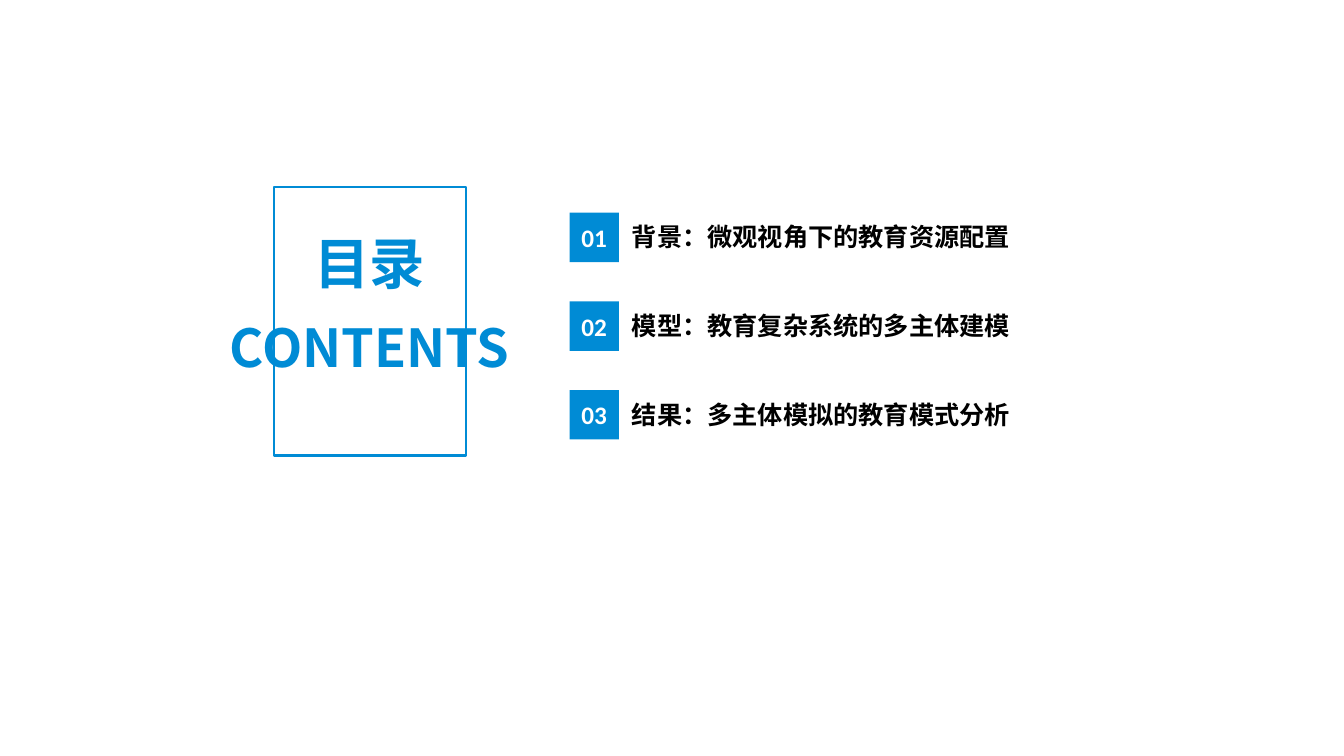
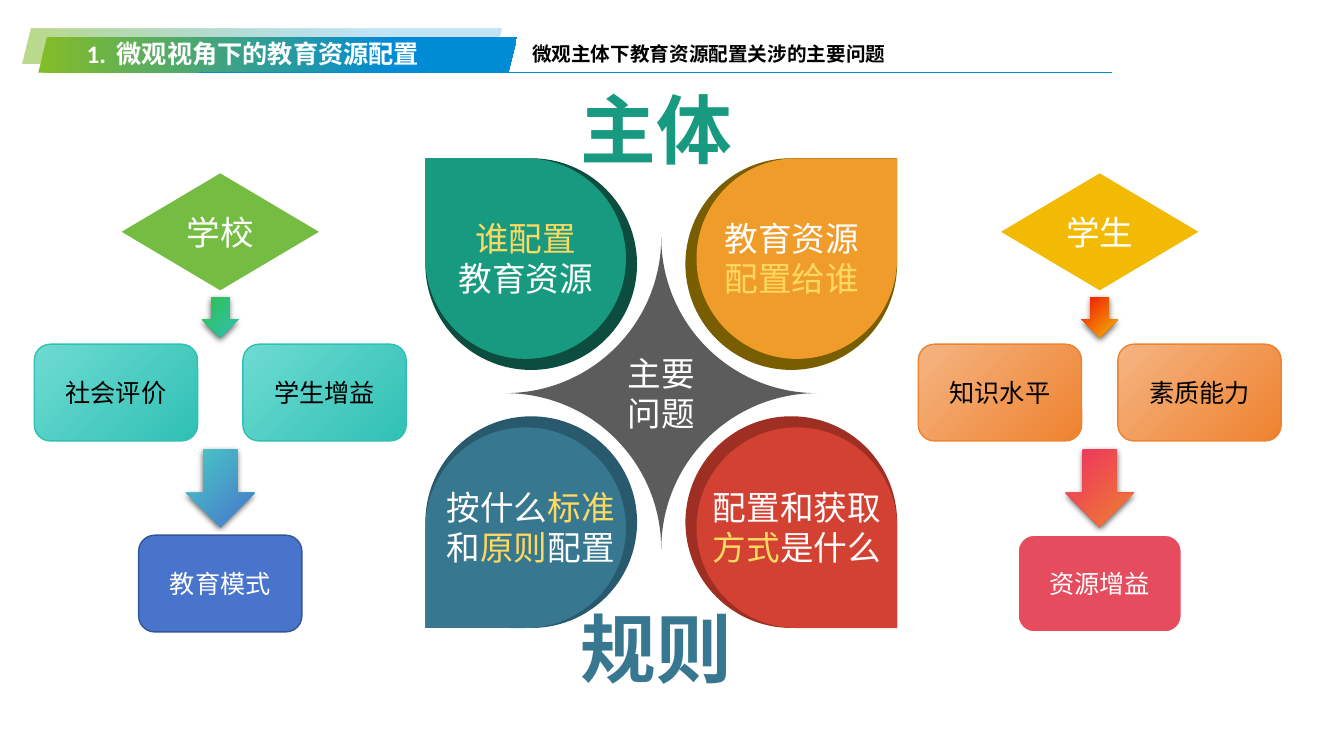
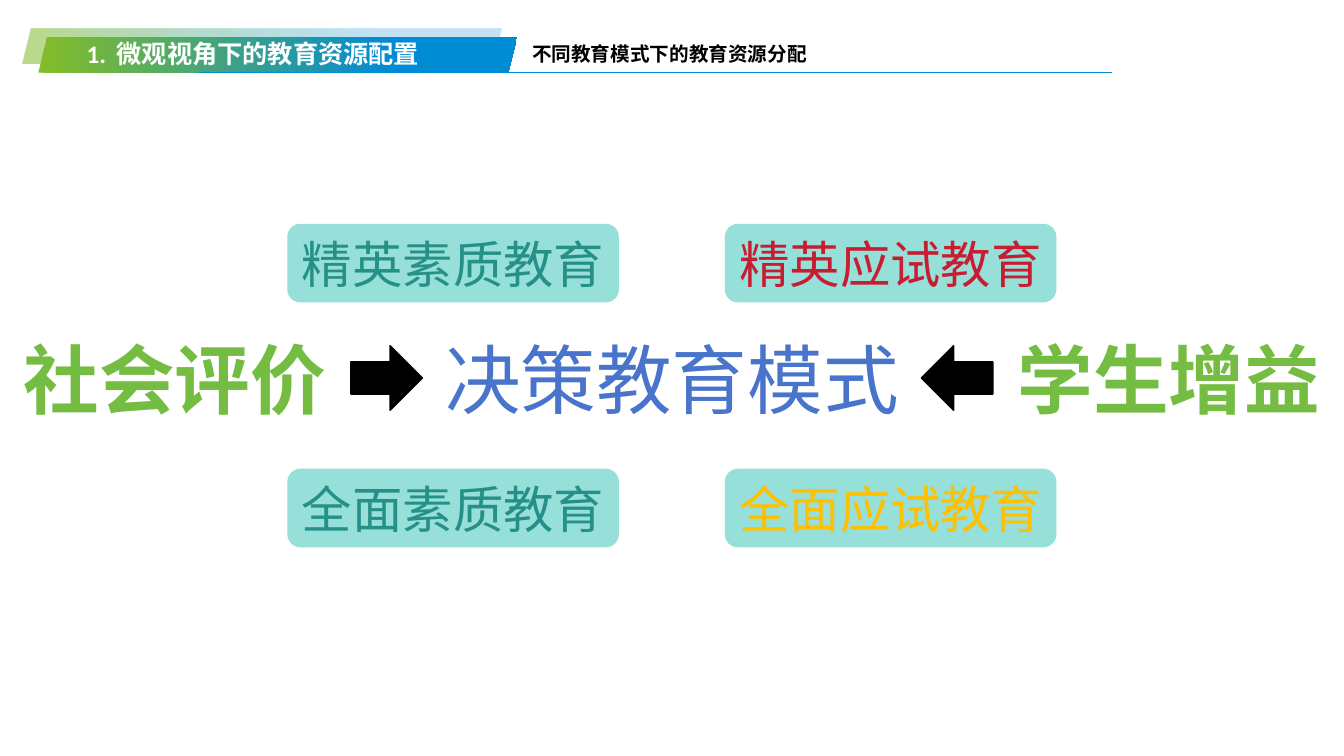
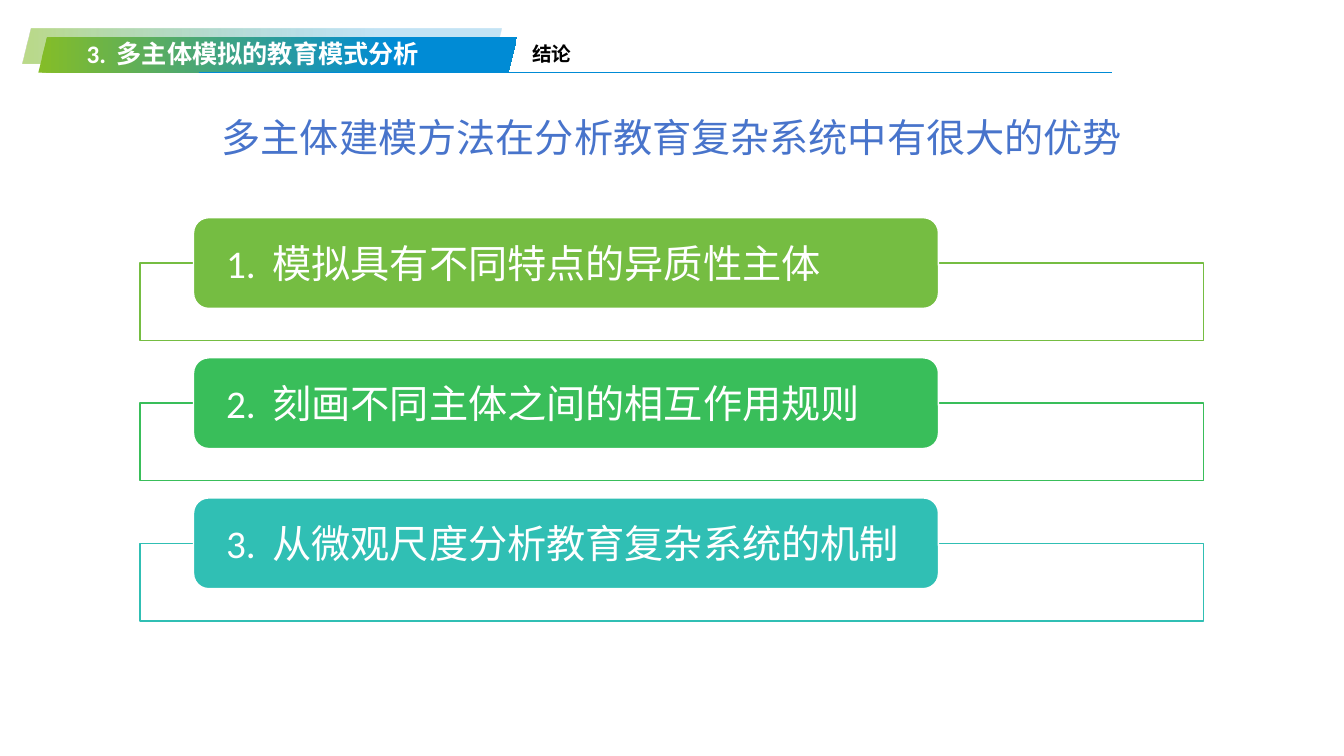
from dataclasses import dataclass

from pptx import Presentation
from pptx.dml.color import RGBColor
from pptx.enum.lang import MSO_LANGUAGE_ID
from pptx.enum.shapes import MSO_CONNECTOR, MSO_SHAPE
from pptx.enum.text import MSO_ANCHOR, PP_ALIGN
from pptx.oxml.ns import qn
from pptx.oxml.xmlchemy import OxmlElement
from pptx.util import Emu, Inches, Pt

LEFT, CENTER = PP_ALIGN.LEFT, PP_ALIGN.CENTER
TOP, MIDDLE = MSO_ANCHOR.TOP, MSO_ANCHOR.MIDDLE
RECT, ROUND = MSO_SHAPE.RECTANGLE, MSO_SHAPE.ROUNDED_RECTANGLE
SLANT, TEARDROP = MSO_SHAPE.PARALLELOGRAM, MSO_SHAPE.TEAR
DIAMOND, PLAQUE = MSO_SHAPE.DIAMOND, MSO_SHAPE.PLAQUE
DOWN, RIGHT = MSO_SHAPE.DOWN_ARROW, MSO_SHAPE.RIGHT_ARROW
STRAIGHT = MSO_CONNECTOR.STRAIGHT
CHINESE = MSO_LANGUAGE_ID.SIMPLIFIED_CHINESE

# Grid of 160 x 90 square cells, twelve to the inch
CELL = Inches(1) // 12
COLUMNS, ROWS = 160, 90

LATIN, HAN = "Calibri", "Noto Sans CJK SC"
BLUE, LIME, WHITE, BLACK = "008BD5", "85BD27", "FFFFFF", "000000"
GREEN, TEAL, ROYAL, YELLOW = "75BD42", "30C0B4", "4874CB", "FED961"


@dataclass
class Box:
    """A region, measured in grid cells."""
    x: float
    y: float
    w: float
    h: float

    def within(self, x, y, w, h):
        return Box(self.x + x, self.y + y, w, h)

    def centred(self, y, w, h):
        return self.within((self.w - w) / 2, y, w, h)

    def emu(self):
        return [Emu(round(v * CELL)) for v in (self.x, self.y, self.w, self.h)]


def rgb(value):
    return RGBColor.from_string(value)


def set_alpha(colour, percent):
    alpha = OxmlElement("a:alpha")
    alpha.set("val", str(percent * 1000))
    colour.append(alpha)


def paint(shape, fill, alphas=(), angle=45, end=100):
    """Fill with one colour, a pair as gradient, or nothing."""
    if fill is None:
        shape.fill.background()
    elif isinstance(fill, str):
        shape.fill.solid()
        shape.fill.fore_color.rgb = rgb(fill)
    else:
        shape.fill.gradient()
        shape.fill.gradient_angle = -angle % 360
        for stop, colour, position in zip(shape.fill.gradient_stops, fill, (0, end)):
            stop.color.rgb = rgb(colour)
            stop.position = position / 100
    for colour, percent in zip(list(shape._element.spPr.iter(qn("a:srgbClr"))), alphas):
        set_alpha(colour, percent)


def add_shape(slide, kind, box, fill=None, line=None, line_width=1, rotation=0, **gradient):
    shape = slide.shapes.add_shape(kind, *box.emu())
    shape.shadow.inherit = False
    shape.rotation = rotation
    paint(shape, fill, **gradient)
    if line:
        shape.line.color.rgb = rgb(line)
        shape.line.width = Pt(line_width)
    else:
        shape.line.fill.background()
    return shape


def drop_shadow(shape):
    shadow = OxmlElement("a:outerShdw")
    for name, value in {"blurRad": Pt(4.5), "dist": Pt(1.5), "dir": 5400000,
                        "algn": "ctr", "rotWithShape": 0}.items():
        shadow.set(name, str(value))
    colour = OxmlElement("a:srgbClr")
    colour.set("val", BLACK)
    set_alpha(colour, 63)
    shadow.append(colour)
    shape._element.spPr.find(qn("a:effectLst")).append(shadow)


def write(shape, paragraphs, size, colour=WHITE, bold=False, font=LATIN, align=CENTER,
          anchor=MIDDLE, wrap=True, margins=None, spacing=None, hang=0):
    """Write text; a paragraph is a string or a list of (text, colour) runs."""
    frame = shape.text_frame
    frame_format = {"word_wrap": wrap, "vertical_anchor": anchor}
    if margins is not None:
        frame_format.update(margin_left=Inches(margins), margin_right=Inches(margins),
                            margin_top=0, margin_bottom=0)
    for name, value in frame_format.items():
        setattr(frame, name, value)
    if isinstance(paragraphs, str):
        paragraphs = [paragraphs]
    for index, runs in enumerate(paragraphs):
        paragraph = frame.add_paragraph() if index else frame.paragraphs[0]
        paragraph.alignment = align
        paragraph.line_spacing = spacing
        if hang:
            properties = paragraph._p.get_or_add_pPr()
            properties.set("marL", str(Inches(hang)))
            properties.set("indent", str(-Inches(hang)))
        for text, run_colour in [(runs, colour)] if isinstance(runs, str) else runs:
            run = paragraph.add_run()
            run.text = text
            for name, value in {"size": Pt(size), "bold": bold, "name": font,
                                "language_id": CHINESE}.items():
                setattr(run.font, name, value)
            run.font.color.rgb = rgb(run_colour)
            han = OxmlElement("a:ea")
            han.set("typeface", HAN)
            run.font._element.find(qn("a:latin")).addnext(han)


def add_text(slide, box, paragraphs, size, colour, **style):
    area = slide.shapes.add_textbox(*box.emu())
    write(area, paragraphs, size, colour, **{"anchor": TOP, **style})


def add_header(slide, box, number, section, topic):
    """Slanted section band with the topic on a rule beside it."""
    add_shape(slide, SLANT, box.within(0, 0, 57, 4.2), (LIME, BLUE),
              alphas=(55, 23), angle=0, end=74)
    add_shape(slide, SLANT, box.within(1.92, 1.08, 57, 4.2), (LIME, BLUE), angle=0, end=74)
    add_text(slide, box.within(6.48, 0.6, 50, 4.8), f"{number}.\t{section}", 18, WHITE,
             bold=True, align=LEFT, hang=0.3)
    x, y, w, h = box.within(21, 5.28, 108.72, 0).emu()
    rule = slide.shapes.add_connector(STRAIGHT, x, y, x + w, y + h)
    rule.line.color.rgb = rgb(BLUE)
    rule.line.width = Pt(1.25)
    rule._element.spPr.append(OxmlElement("a:effectLst"))
    add_text(slide, box.within(59.52, 1.08, 48.84, 3.96), topic, 14, BLACK,
             bold=True, align=LEFT)


def add_contents_title(slide, box):
    add_shape(slide, RECT, box, line=BLUE, line_width=1.5)
    add_text(slide, box.centred(3.6, 16.44, 11.52), "目录", 39.6, BLUE,
             bold=True, anchor=MIDDLE, spacing=0.9)
    add_text(slide, box.centred(15.36, 39.36, 8.52), "CONTENTS", 37.4, BLUE,
             bold=True, font=HAN, anchor=MIDDLE, spacing=0.8)


def add_agenda(slide, box, chapters):
    """Numbered chapters, one per row of the box."""
    pitch = box.h / len(chapters)
    for index, chapter in enumerate(chapters):
        row = box.within(0, index * pitch, box.w, pitch)
        badge = add_shape(slide, RECT, row.within(0, 0, 5.88, 5.88), BLUE)
        write(badge, f"{index + 1:02}", 18, bold=True, margins=0)
        add_text(slide, row.within(6.24, 0.48, 48, 4.8), chapter, 18, BLACK,
                 bold=True, align=LEFT)


def add_petals(slide, box):
    """Four petals around a star, with a keyword above and below."""
    star = add_shape(slide, PLAQUE, box.centred((box.h - 37.08) / 2, 37.08, 37.08), "5C5C5C")
    star.adjustments[0] = 0.5
    write(star, "主要问题", 24, font="Arial")
    # column, row, rotation, rim, face, label width, label shift, label
    petals = [
        (0, 0, 270, "0C4D40", "189A80", 18.36, 0,
         [[("谁配置", YELLOW)], [("教育资源", WHITE)]]),
        (1, 1, 90, "A02F23", "D24132", 23.16, 0,
         [[("配置和获取", WHITE), ("方式", YELLOW), ("是什么", WHITE)]]),
        (1, 0, 0, "795D01", "F09C2A", 18.36, -0.6,
         [[("教育资源", WHITE), ("配置给谁", YELLOW)]]),
        (0, 1, 180, "29596C", "377790", 23.88, 0.6,
         [[("按什么", WHITE), ("标准", YELLOW), ("和", WHITE), ("原则", YELLOW),
           ("配置", WHITE)]]),
    ]
    for column, row, rotation, rim, face, width, shift, label in petals:
        for size, colour in ((25.2, rim), (23.88, face)):
            petal = box.within(column * (box.w - size), row * (box.h - size), size, size)
            add_shape(slide, TEARDROP, petal, colour, rotation=rotation)
        place = petal.centred(6.5, width, 10.92)
        add_text(slide, place.within(shift, 0, place.w, place.h), label, 24, WHITE)
    for y, keyword, colour in ((-9.6, "主体", "189A80"), (52.2, "规则", "377790")):
        add_text(slide, box.within(17.16, y, 20.64, 12.12), keyword, 54, colour,
                 bold=True, wrap=False)


def add_flow(slide, box, actor, factors, outcome, colours):
    """Actor, two factors and an outcome, from top to bottom."""
    diamond = add_shape(slide, DIAMOND, box.centred(0, 23.88, 14.16), colours["actor"], WHITE)
    write(diamond, actor, 24)
    card_w, card_h = 19.44, 11.52
    for x, factor in zip((0, box.w - card_w), factors):
        card = add_shape(slide, ROUND, box.within(x, 20.46, card_w, card_h),
                         colours["factors"], colours["factors"][1])
        write(card, factor, 18, BLACK)
    result = add_shape(slide, ROUND, box.centred(43.2, card_w, card_h),
                       colours["outcome"], colours["outcome_line"])
    write(result, outcome, 18)
    for y, w, h, key in ((14.88, 4.32, 4.8, "first_arrow"), (33, 8.16, 9.24, "second_arrow")):
        drop_shadow(add_shape(slide, DOWN, box.centred(y, w, h), colours[key]))


def add_decision(slide, box):
    """Two influences pointing at the decision, with four modes around it."""
    far = box.w - 38.76
    for x, w, words, colour, bold in ((0, 38.76, "社会评价", GREEN, True),
                                      (far, 38.76, "学生增益", GREEN, True),
                                      ((box.w - 57) / 2, 57, "决策教育模式", ROYAL, False)):
        add_text(slide, box.within(x, 12.36, w, 12.12), words, 54, colour,
                 bold=bold, wrap=False)
    for x, rotation in ((40.32, 0), (box.w - 48.84, 180)):
        add_shape(slide, RIGHT, box.within(x, 14.52, 8.52, 7.68), BLACK, BLACK,
                  rotation=rotation)
    modes = [[("精英素质教育", "249087"), ("精英应试教育", "C81D31")],
             [("全面素质教育", "249087"), ("全面应试教育", "FFC000")]]
    for row, pair in enumerate(modes):
        for column, (mode, colour) in enumerate(pair):
            chip = add_shape(slide, ROUND, box.within(32.76 + column * 52.08, row * 29.16,
                                                      39.48, 9.36), TEAL, alphas=(50,))
            write(chip, mode, 36, colour, wrap=False)


def add_conclusions(slide, box, conclusions):
    """Titled cards, each on an outlined panel."""
    for index, (colour, conclusion) in enumerate(conclusions):
        row = box.within(0, index * box.h / len(conclusions), box.w, 14.64)
        add_shape(slide, RECT, row.within(0, 5.4, row.w, 9.24), WHITE, colour, alphas=(90,))
        card = add_shape(slide, ROUND, row.within(6.36, 0, 88.68, 10.8), colour, WHITE)
        write(card, f"{index + 1}.\t{conclusion}", 28, align=LEFT, margins=0.28, hang=0.46)


def main():
    deck = Presentation()
    deck.slide_width, deck.slide_height = COLUMNS * CELL, ROWS * CELL
    header_box = Box(2.64, 3.36, 129.72, 5.28)
    background = (1, "微观视角下的教育资源配置")
    analysis = (3, "多主体模拟的教育模式分析")

    def new_slide():
        return deck.slides.add_slide(deck.slide_layouts[6])

    # Contents
    slide = new_slide()
    add_contents_title(slide, Box(32.64, 22.32, 22.8, 31.92))
    add_agenda(slide, Box(67.8, 25.32, 54.24, 31.68), [
        "背景：微观视角下的教育资源配置",
        "模型：教育复杂系统的多主体建模",
        "结果：多主体模拟的教育模式分析"])

    # Main questions
    slide = new_slide()
    add_header(slide, header_box, *background, "微观主体下教育资源配置关涉的主要问题")
    add_petals(slide, Box(50.64, 18.84, 56.16, 55.92))
    add_flow(slide, Box(4.08, 20.52, 44.28, 54.72), "学校", ("社会评价", "学生增益"), "教育模式",
             {"actor": GREEN, "factors": ("6EDBD2", TEAL),
              "outcome": ROYAL, "outcome_line": "355696",
              "first_arrow": ("30C04F", TEAL), "second_arrow": ("48CBC6", ROYAL)})
    add_flow(slide, Box(109.32, 20.52, 43.2, 54.72), "学生", ("知识水平", "素质能力"), "资源增益",
             {"actor": "F2BA02", "factors": ("F5B482", "EE822F"),
              "outcome": "E54C5E", "outcome_line": WHITE,
              "first_arrow": ("F21202", "F2BA02"), "second_arrow": ("EE2F62", "EE822F")})

    # Education modes
    slide = new_slide()
    add_header(slide, header_box, *background, "不同教育模式下的教育资源分配")
    add_decision(slide, Box(1.44, 26.64, 157.08, 38.52))

    # Conclusion
    slide = new_slide()
    add_header(slide, header_box, *analysis, "结论")
    add_text(slide, Box(24.24, 12.96, 111.48, 6.84),
             "多主体建模方法在分析教育复杂系统中有很大的优势", 28, ROYAL)
    add_conclusions(slide, Box(16.68, 25.92, 126.6, 50.04), [
        (GREEN, "模拟具有不同特点的异质性主体"),
        ("39BE5A", "刻画不同主体之间的相互作用规则"),
        ("30BFB4", "从微观尺度分析教育复杂系统的机制")])

    deck.save("out.pptx")


if __name__ == "__main__":
    main()
